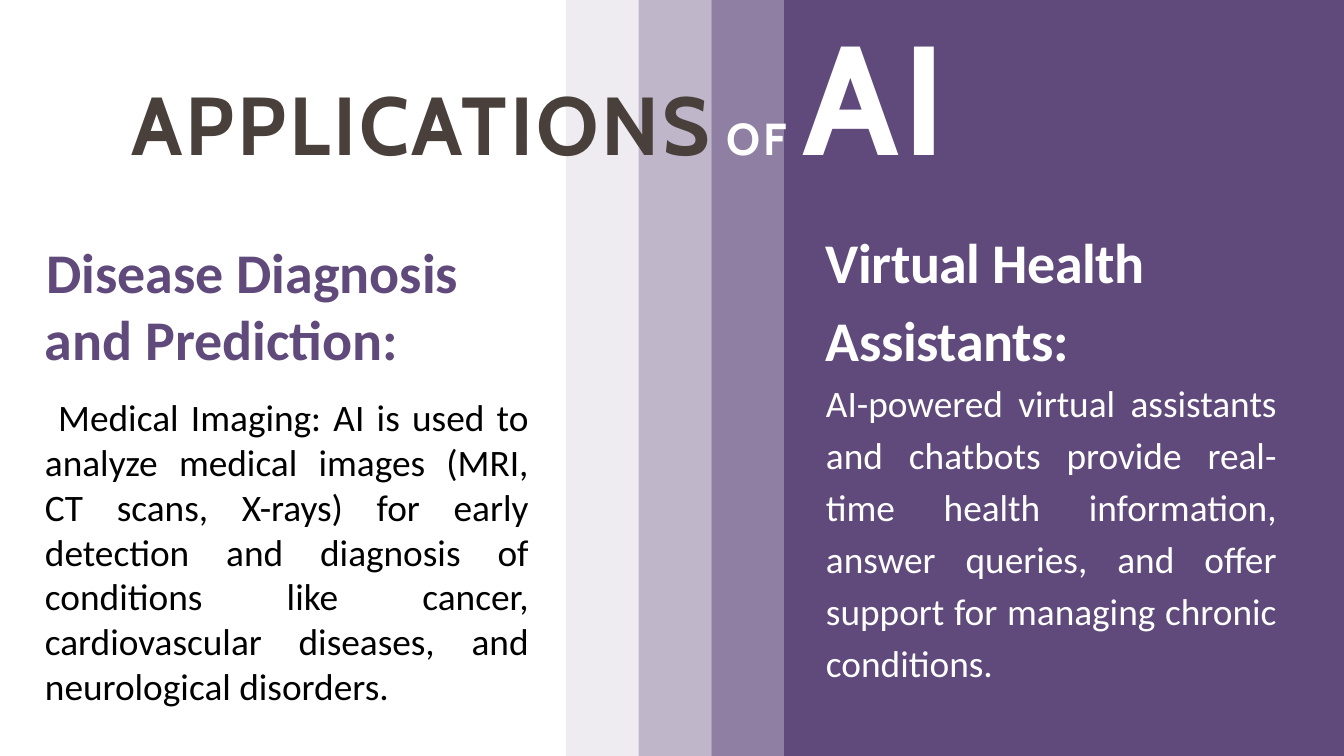
from pptx import Presentation
from pptx.dml.color import RGBColor
from pptx.enum.shapes import MSO_SHAPE
from pptx.enum.text import MSO_AUTO_SIZE, PP_ALIGN
from pptx.oxml.ns import qn
from pptx.util import Cm, Pt
from lxml import etree

PURPLE = RGBColor(0x60, 0x4A, 0x7B)
BROWN = RGBColor(0x49, 0x40, 0x3C)
WHITE = RGBColor(0xFF, 0xFF, 0xFF)
BLACK = RGBColor(0x00, 0x00, 0x00)

prs = Presentation()
prs.slide_width, prs.slide_height = Cm(50.8), Cm(28.58)
slide = prs.slides.add_slide(prs.slide_layouts[6])


def add_text_box(left, top, width, height, inset_top=0.03):
    """Add an empty wrapping box, measured in cm, and return its text frame."""
    tf = slide.shapes.add_textbox(Cm(left), Cm(top), Cm(width), Cm(height)).text_frame
    tf.word_wrap = True
    tf.auto_size = MSO_AUTO_SIZE.SHAPE_TO_FIT_TEXT
    tf.margin_left = tf.margin_right = tf.margin_bottom = 0
    tf.margin_top = Cm(inset_top)
    return tf


def add_text(tf, text, size, color, font="Calibri", bold=False, spacing=0, new=True,
             align=PP_ALIGN.LEFT, before=1, line=1.0, margin=0.03, indent=0):
    """Add a run, in a new paragraph or at the end of the last one.

    Margin and indent are in cm, spacing between letters in points.
    """
    p = tf.paragraphs[-1]
    if new:
        if p.runs:
            p = tf.add_paragraph()
        p.alignment, p.space_before, p.line_spacing = align, Pt(before), line
        pPr = p._p.get_or_add_pPr()
        pPr.set("marL", str(Cm(margin)))
        pPr.set("indent", str(Cm(indent)))
    r = p.add_run()
    r.text = text
    r.font.name, r.font.size, r.font.bold = font, Pt(size), bold
    r.font.color.rgb = color
    r.font._element.set("spc", str(round(spacing * 100)))


# Purple panel and the stripes that fade away to its left
panel_left, stripe_width = 29.64, 2.75
bands = [(panel_left, 50.8 - panel_left, 100)]
for i, opacity in enumerate((70, 40, 10), start=1):
    bands.append((panel_left - i * stripe_width, stripe_width, opacity))

for left, width, opacity in bands:
    sp = slide.shapes.add_shape(MSO_SHAPE.RECTANGLE, Cm(left), 0, Cm(width), prs.slide_height)
    sp.shadow.inherit = False
    sp.line.fill.background()
    sp.fill.solid()
    sp.fill.fore_color.rgb = PURPLE
    if opacity < 100:
        color = sp._element.spPr.find(".//" + qn("a:srgbClr"))
        etree.SubElement(color, qn("a:alpha")).set("val", str(opacity * 1000))

# Right column
tf = add_text_box(31.19, 8.15, 17.07, 17.86)
add_text(tf, "Virtual Health Assistants:", 60, WHITE, bold=True, spacing=-0.5, line=1.16)
add_text(tf, "AI-powered virtual assistants and chatbots provide real-time health "
         "information, answer queries, and offer support for managing chronic conditions.",
         40, WHITE, align=PP_ALIGN.JUSTIFY, line=1.16)

# Left column
tf = add_text_box(0.81, 8.15, 19.18, 18.8, inset_top=0.84)
add_text(tf, "Disease Diagnosis and Prediction:", 60, PURPLE, bold=True,
         before=23.8, margin=0.89, indent=0.05)
add_text(tf, "Medical Imaging: AI is used to analyze medical images (MRI, CT scans, "
         "X-rays) for early detection and diagnosis of conditions like cancer, "
         "cardiovascular diseases, and neurological disorders.",
         40, BLACK, align=PP_ALIGN.JUSTIFY, before=23.8, margin=0.89, indent=0.5)

# Title
tf = add_text_box(4.95, 0, 32.39, 7.14)
title_runs = (("APPLICATIONS", 88, BROWN), (" ", 48, BROWN), ("OF ", 48, WHITE), ("AI", 166, WHITE))
for i, (text, size, color) in enumerate(title_runs):
    add_text(tf, text, size, color, font="Cabin", bold=True, spacing=3.1, new=i == 0)

prs.save("out.pptx")
